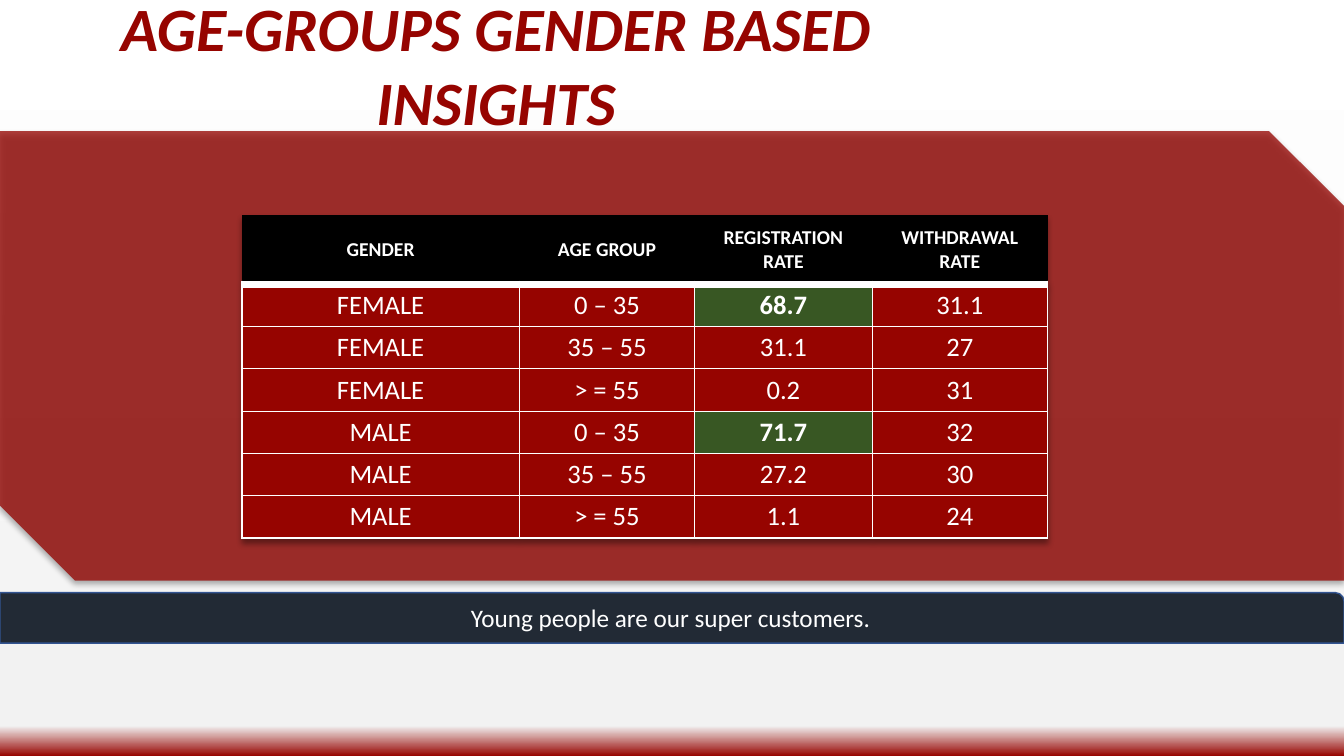
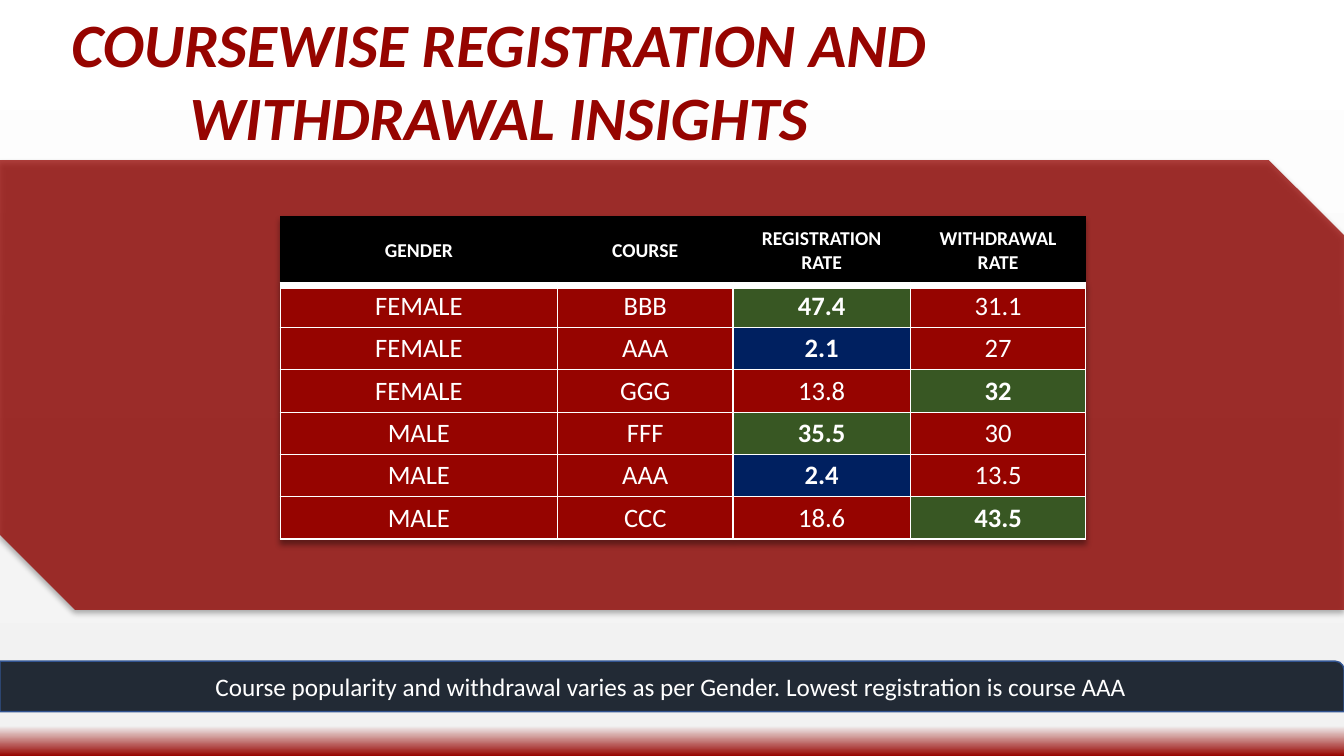
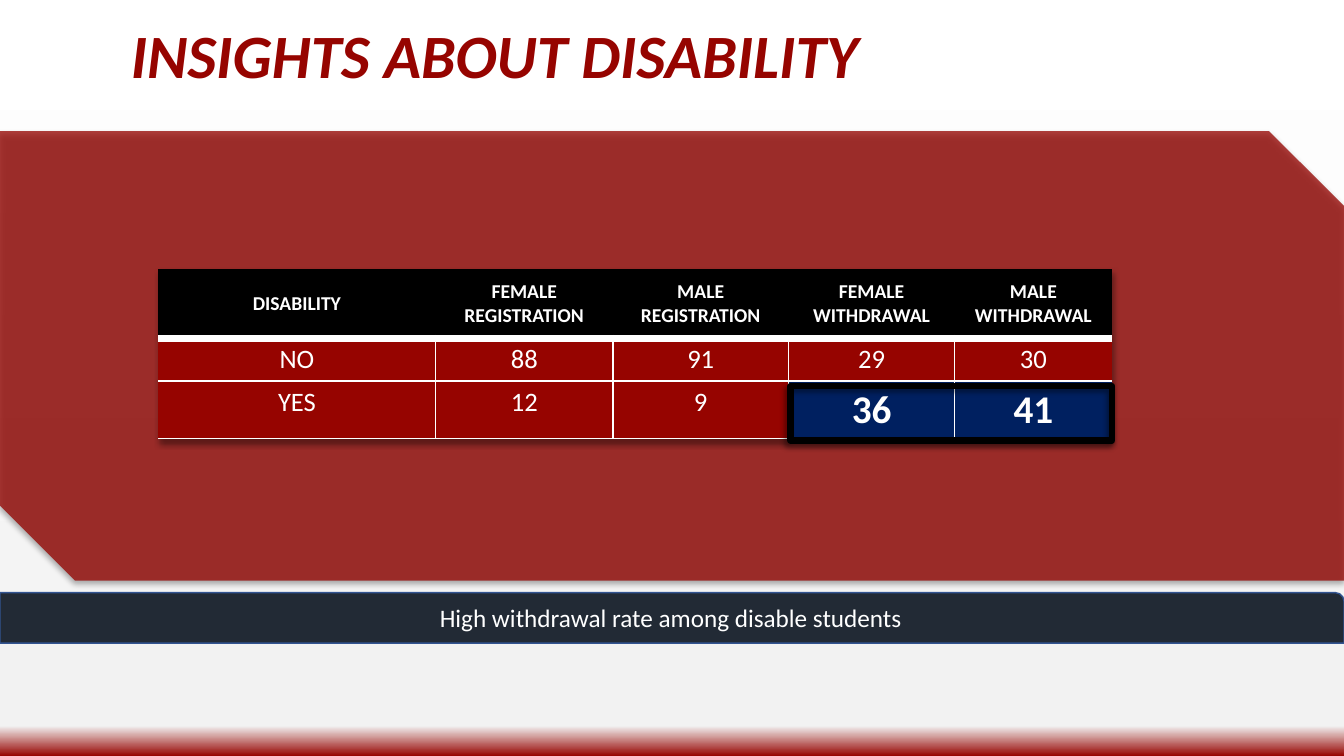
from dataclasses import dataclass

from lxml import etree
from pptx import Presentation
from pptx.dml.color import RGBColor
from pptx.enum import shapes, text
from pptx.oxml import parse_xml
from pptx.oxml.ns import nsdecls, qn
from pptx.util import Inches, Pt

RED = RGBColor(0x96, 0x04, 0x00)
WHITE = RGBColor(0xFF, 0xFF, 0xFF)
BLACK = RGBColor(0, 0, 0)
GRAY = RGBColor(0xF2, 0xF2, 0xF2)
GREEN = RGBColor(0x38, 0x57, 0x23)
NAVY = RGBColor(0x00, 0x20, 0x60)
SLATE = RGBColor(0x22, 0x2A, 0x35)
BLUE = RGBColor(0x32, 0x54, 0x91)
FONT = "Calibri"
WIDE = 13.33
THIN, THICK = 1, 6
HEAD_ROW, BODY_ROW = 0.69, 0.42
BACK = ((1, WHITE, 100), (96, GRAY, 35), (100, RED, 100))


@dataclass
class Grid:
    """A table; marks gives the highlighted cells by (row, column)."""
    left: float
    top: float
    cols: tuple[float, ...]
    rows: tuple[tuple[str, ...], ...]
    marks: dict[tuple[int, int], RGBColor]
    mark_size: int = 19
    framed: bool = True


@dataclass
class Page:
    title: str
    spot: tuple[float, float]
    band: float
    grid: Grid
    note: str
    foot: float
    frame: tuple[float, float, float, float] | None = None


RATES = ("REGISTRATION RATE", "WITHDRAWAL RATE")
COLS = (2.75, 1.74, 1.76, 1.74)

PAGES = (
    Page("AGE-GROUPS GENDER BASED INSIGHTS", (0.26, 0.52), 1.3,
         Grid(2.4, 2.13, COLS, (
             ("GENDER", "AGE GROUP", *RATES),
             ("FEMALE", "0 – 35", "68.7", "31.1"),
             ("FEMALE", "35 – 55", "31.1", "27"),
             ("FEMALE", "> = 55", "0.2", "31"),
             ("MALE", "0 – 35", "71.7", "32"),
             ("MALE", "35 – 55", "27.2", "30"),
             ("MALE", "> = 55", "1.1", "24"),
         ), {(1, 2): GREEN, (4, 2): GREEN}),
         "Young people are our super customers.", 5.88),
    Page("COURSEWISE REGISTRATION AND WITHDRAWAL INSIGHTS", (0.29, 0.67), 1.59,
         Grid(2.78, 2.14, COLS, (
             ("GENDER", "COURSE", *RATES),
             ("FEMALE", "BBB", "47.4", "31.1"),
             ("FEMALE", "AAA", "2.1", "27"),
             ("FEMALE", "GGG", "13.8", "32"),
             ("MALE", "FFF", "35.5", "30"),
             ("MALE", "AAA", "2.4", "13.5"),
             ("MALE", "CCC", "18.6", "43.5"),
         ), {(1, 2): GREEN, (2, 2): NAVY, (3, 3): GREEN,
             (4, 2): GREEN, (5, 2): NAVY, (6, 3): GREEN}),
         "Course popularity and withdrawal varies as per Gender. "
         "Lowest registration is course AAA", 6.56),
    Page("INSIGHTS ABOUT DISABILITY", (0.25, 0.05), 1.3,
         Grid(1.57, 2.67, (2.75, 1.76, 1.74, 1.65, 1.56), (
             ("DISABILITY", "FEMALE REGISTRATION", "MALE REGISTRATION",
              "FEMALE WITHDRAWAL", "MALE WITHDRAWAL"),
             ("NO", "88", "91", "29", "30"),
             ("YES", "12", "9", "36", "41"),
         ), {(2, 3): NAVY, (2, 4): NAVY}, 28, False),
         "High withdrawal rate among disable students", 5.88,
         (7.84, 3.83, 3.19, 0.54)),
)


def shade(angle: int):
    """Soft shadow effect falling at the given angle in degrees."""
    return parse_xml(
        f'<a:effectLst {nsdecls("a")}><a:outerShdw blurRad="{Pt(4)}" '
        f'dist="{Pt(3)}" dir="{angle * 60000}" algn="t" rotWithShape="0">'
        '<a:srgbClr val="000000"><a:alpha val="40000"/></a:srgbClr>'
        '</a:outerShdw></a:effectLst>')


def paint_back(layout) -> None:
    fill = layout.background.fill
    fill.gradient()
    fill.gradient_angle = 270
    stops = layout.element.find(".//" + qn("a:gsLst"))
    for stop in list(stops):
        stops.remove(stop)
    for spot, color, alpha in BACK:
        stops.append(parse_xml(
            f'<a:gs {nsdecls("a")} pos="{spot * 1000}"><a:srgbClr val="{color}">'
            f'<a:alpha val="{alpha * 1000}"/></a:srgbClr></a:gs>'))


def write(frame, words: str, size: int, color: RGBColor,
          bold: bool = False, italic: bool = False) -> None:
    frame.text = words
    line = frame.paragraphs[0]
    line.alignment = text.PP_ALIGN.CENTER
    font = line.runs[0].font
    font.name, font.size = FONT, Pt(size)
    font.bold, font.italic = bold, italic
    font.color.rgb = color


def add_box(slide, kind, left: float, top: float, width: float, height: float,
            fill: RGBColor | None = None, line: RGBColor | None = None,
            weight: float = 1):
    box = slide.shapes.add_shape(
        kind, Inches(left), Inches(top), Inches(width), Inches(height))
    box.shadow.inherit = False
    if fill is None:
        box.fill.background()
    else:
        box.fill.solid()
        box.fill.fore_color.rgb = fill
    if line is None:
        box.line.fill.background()
    else:
        box.line.color.rgb = line
        box.line.width = Pt(weight)
    return box


def cast(box, angle: int) -> None:
    """Replace the empty effect list of a shape with a shadow."""
    props = box.element.spPr
    props.replace(props.find(qn("a:effectLst")), shade(angle))


def add_band(slide, top: float) -> None:
    band = add_box(slide, shapes.MSO_SHAPE.SNIP_2_DIAG_RECTANGLE,
                   0, top, WIDE, 4.46, RED)
    cast(band, 90)
    tint = band.element.spPr.find(qn("a:solidFill"))[0]
    etree.SubElement(tint, qn("a:alpha"), val="76000")


def add_title(slide, words: str, left: float, top: float) -> None:
    box = slide.shapes.add_textbox(
        Inches(left), Inches(top), Inches(9.32), Inches(0.95))
    frame = box.text_frame
    frame.word_wrap = True
    frame.vertical_anchor = text.MSO_ANCHOR.BOTTOM
    frame.margin_left = frame.margin_right = Inches(0.1)
    frame.margin_top = frame.margin_bottom = Inches(0.1)
    write(frame, words, 44, RED, True, True)


def edge(cell, sides: dict[str, int]) -> None:
    """Draw white borders; a weight of 0 hides that side."""
    props = cell._tc.get_or_add_tcPr()
    for spot, (side, weight) in enumerate(sides.items()):
        paint = (f'<a:solidFill><a:srgbClr val="{WHITE}"/></a:solidFill>'
                 if weight else '<a:noFill/>')
        props.insert(spot, parse_xml(
            f'<a:ln{side} {nsdecls("a")} w="{Pt(weight)}">{paint}</a:ln{side}>'))


def add_grid(slide, grid: Grid) -> None:
    count, last = len(grid.rows), len(grid.cols) - 1
    table = slide.shapes.add_table(
        count, last + 1, Inches(grid.left), Inches(grid.top),
        Inches(sum(grid.cols)),
        Inches(HEAD_ROW + BODY_ROW * (count - 1))).table
    table.horz_banding = False
    table._tbl.tblPr.insert(0, shade(90))
    for col, width in zip(table.columns, grid.cols):
        col.width = Inches(width)
    for r, row in enumerate(grid.rows):
        head = r == 0
        table.rows[r].height = Inches(HEAD_ROW if head else BODY_ROW)
        for c, words in enumerate(row):
            cell = table.cell(r, c)
            mark = grid.marks.get((r, c))
            size = 14 if head else grid.mark_size if mark else 19
            write(cell.text_frame, words, size, WHITE, head or mark is not None)
            cell.fill.solid()
            cell.fill.fore_color.rgb = BLACK if head else mark or RED
            if head:
                cell.vertical_anchor = text.MSO_ANCHOR.MIDDLE
                edge(cell, {"L": 0, "R": 0, "T": 0, "B": THICK})
            else:
                edge(cell, {"L": THIN if grid.framed or c > 0 else 0,
                            "R": THIN if grid.framed or c < last else 0,
                            "T": THICK if r == 1 else THIN,
                            "B": THIN})


def add_note(slide, words: str, top: float) -> None:
    bar = add_box(slide, shapes.MSO_SHAPE.ROUND_1_RECTANGLE,
                  0, top, WIDE, 0.5, SLATE, BLUE)
    bar.text_frame.vertical_anchor = text.MSO_ANCHOR.MIDDLE
    write(bar.text_frame, words, 18, WHITE)


def main() -> None:
    deck = Presentation()
    deck.slide_width, deck.slide_height = Inches(WIDE), Inches(7.5)
    blank = deck.slide_layouts[6]
    paint_back(blank)
    for page in PAGES:
        slide = deck.slides.add_slide(blank)
        add_band(slide, page.band)
        add_title(slide, page.title, *page.spot)
        add_grid(slide, page.grid)
        if page.frame:
            frame = add_box(slide, shapes.MSO_SHAPE.RECTANGLE, *page.frame,
                            line=BLACK, weight=4.5)
            cast(frame, 135)
        add_note(slide, page.note, page.foot)
    deck.save("out.pptx")


if __name__ == "__main__":
    main()
